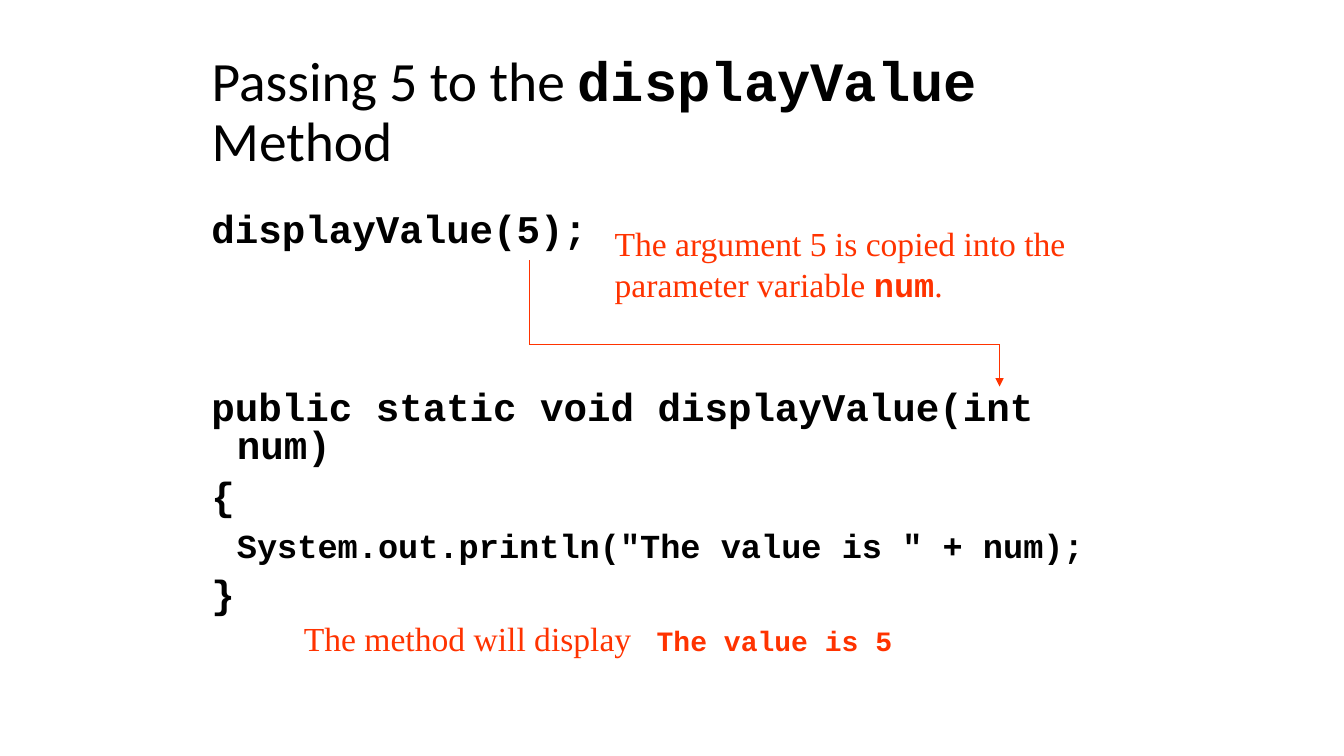
from itertools import pairwise

from lxml.etree import SubElement
from pptx import Presentation
from pptx.dml.color import RGBColor
from pptx.enum.shapes import MSO_CONNECTOR as Connector
from pptx.enum.text import MSO_ANCHOR as Anchor, MSO_AUTO_SIZE as AutoSize, PP_ALIGN as Align
from pptx.oxml.ns import qn
from pptx.util import Cm, Pt

BLACK = RGBColor(0x00, 0x00, 0x00)
RED = RGBColor(0xFF, 0x33, 0x00)
CODE = {"name": "Courier New", "bold": True}
HEADING = {"name": "Calibri", "bold": False}
NOTE = {"name": "Times New Roman", "bold": False}


class MethodCallSlide:
    """Hold the style and the current slide, and add its elements."""

    def __init__(self, deck):
        self.slide = deck.slides.add_slide(deck.slide_layouts[5])

    def add_runs(self, paragraph, runs, size, color):
        for text, style in runs:
            run = paragraph.add_run()
            run.text = text
            self.apply(run.font, **({"size": Pt(size)} | style))
            run.font.color.rgb = color

    def apply(self, target, **values):
        for key, value in values.items():
            setattr(target, key, value)

    def title(self, box, runs):
        heading = self.slide.shapes.title
        self.apply(heading, **dict(zip(("left", "top", "width", "height"), map(Cm, box))))
        self.apply(heading.text_frame, word_wrap=True, auto_size=AutoSize.NONE,
                   vertical_anchor=Anchor.MIDDLE)
        paragraph = heading.text_frame.paragraphs[0]
        self.apply(paragraph, alignment=Align.LEFT, line_spacing=0.9)
        self.add_runs(paragraph, runs, 39.6, BLACK)

    def text_frame(self, box):
        frame = self.slide.shapes.add_textbox(*map(Cm, box)).text_frame
        self.apply(frame, word_wrap=True, auto_size=AutoSize.NONE)
        return frame

    def note(self, box, runs):
        self.add_runs(self.text_frame(box).paragraphs[0], runs, 24, RED)

    def code(self, box, lines):
        frame = self.text_frame(box)
        for number, (text, size, before, first_indent) in enumerate(lines):
            paragraph = frame.add_paragraph() if number else frame.paragraphs[0]
            self.apply(paragraph, line_spacing=0.8, space_before=Pt(before))
            properties = paragraph._p.get_or_add_pPr()
            properties.set("marL", str(Cm(0.64)))
            properties.set("indent", str(Cm(first_indent)))
            self.add_runs(paragraph, [(text, CODE)], size, BLACK)

    def arrow(self, corners):
        for start, end in pairwise(corners):
            segment = self.slide.shapes.add_connector(
                Connector.STRAIGHT, *map(Cm, start + end))
            segment.line.color.rgb = RED
            segment.line.width = Pt(0.75)
            SubElement(segment._element.spPr, qn("a:effectLst"))
        SubElement(segment.line._get_or_add_ln(), qn("a:tailEnd"), type="triangle")


def main():
    deck = Presentation()
    deck.slide_width, deck.slide_height = Cm(33.87), Cm(19.05)
    page = MethodCallSlide(deck)
    page.title((5.08, 1.27, 21.59, 3.18), [
        ("Passing 5 to the ", HEADING), ("displayValue ", CODE), ("Method", HEADING)])
    page.code((5.08, 5.26, 23.04, 11.28), [
        ("displayValue(5);", 28, 0, -0.64),
        ("public static void displayValue(int num)", 28, 100, -0.64),
        ("{", 28, 10, -0.64),
        ('System.out.println("The value is " + num);', 24, 10, 0),
        ("}", 28, 10, -0.64)])
    page.note((15.24, 5.5, 12.07, 2.31), [
        ("The argument 5 is copied into the parameter variable ", NOTE),
        ("num", CODE), (".", NOTE)])
    page.arrow([(13.34, 6.56), (13.34, 8.68), (25.19, 8.68), (25.19, 9.74)])
    page.note((7.41, 15.45, 18.63, 1.27), [
        ("The method will display\t", NOTE),
        ("The value is 5", CODE | {"size": Pt(20)})])
    deck.save("out.pptx")


if __name__ == "__main__":
    main()
